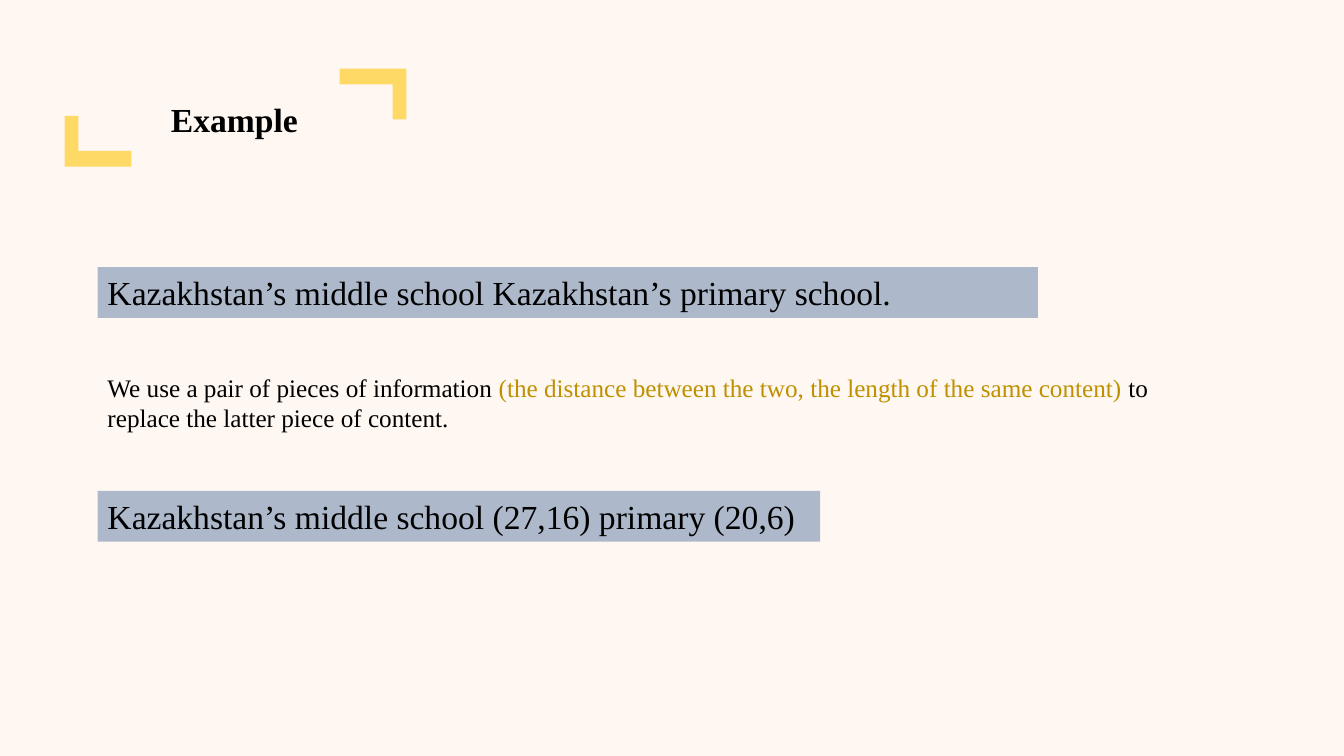
from pptx import Presentation
from pptx.dml.color import RGBColor
from pptx.enum.shapes import MSO_SHAPE as Shape
from pptx.enum.text import MSO_ANCHOR as Anchor, PP_ALIGN as Align
from pptx.util import Cm, Pt

CREAM = RGBColor(0xFE, 0xF7, 0xF2)
BLUE_GREY = RGBColor(0xAD, 0xB9, 0xCA)
YELLOW = RGBColor(0xFF, 0xD9, 0x66)
OCHRE = RGBColor(0xBF, 0x90, 0x00)
BLACK = RGBColor(0, 0, 0)

LEFT = 2.46
LINE_HEIGHT = 1.28


class SlideBuilder:
    """Draws on one slide in one style; all lengths are in centimetres."""

    font = "Times New Roman"

    def __init__(self, slide):
        self.slide = slide
        slide.background.fill.solid()
        slide.background.fill.fore_color.rgb = CREAM

    def add_runs(self, shape, runs, size, bold=False, wrap=True):
        """Fill a shape with one paragraph of (text, colour) runs."""
        frame = shape.text_frame
        frame.word_wrap = wrap
        frame.vertical_anchor = Anchor.TOP
        paragraph = frame.paragraphs[0]
        paragraph.alignment = Align.LEFT
        for text, colour in runs:
            run = paragraph.add_run()
            run.text = text
            run.font.name = self.font
            run.font.size = Pt(size)
            run.font.bold = bold
            run.font.color.rgb = colour

    def text(self, left, top, width, height, runs, size, **style):
        box = self.slide.shapes.add_textbox(Cm(left), Cm(top), Cm(width), Cm(height))
        self.add_runs(box, runs, size, **style)

    def shape(self, kind, left, top, width, height, colour):
        shape = self.slide.shapes.add_shape(
            kind, Cm(left), Cm(top), Cm(width), Cm(height))
        shape.shadow.inherit = False
        shape.fill.solid()
        shape.fill.fore_color.rgb = colour
        shape.line.fill.background()
        return shape

    def sentence_bar(self, top, width, sentence):
        bar = self.shape(Shape.RECTANGLE, LEFT, top, width, LINE_HEIGHT, BLUE_GREY)
        self.add_runs(bar, [(sentence, BLACK)], 24)

    def title_corner(self, left, top, rotation):
        corner = self.shape(Shape.CORNER, left, top, 1.68, LINE_HEIGHT, YELLOW)
        corner.adjustments[0] = 0.31
        corner.adjustments[1] = 0.27
        corner.rotation = rotation


def main():
    presentation = Presentation()
    presentation.slide_width = Cm(33.87)
    presentation.slide_height = Cm(19.05)
    blank = presentation.slide_layouts[6]
    builder = SlideBuilder(presentation.slides.add_slide(blank))

    builder.text(4.06, 2.36, 3.73, LINE_HEIGHT, [("Example", BLACK)], 24,
                 bold=True, wrap=False)
    builder.title_corner(1.63, 2.92, 0)
    builder.title_corner(8.56, 1.73, 180)

    builder.sentence_bar(
        6.73, 23.7, "Kazakhstan’s middle school Kazakhstan’s primary school.")
    explanation = [
        ("We use a pair of pieces of information ", BLACK),
        ("(the distance between the two, the length of the same content) ", OCHRE),
        ("to replace the latter piece of content.", BLACK),
    ]
    builder.text(LEFT, 9.25, 26.92, 1.8, explanation, 18)
    builder.sentence_bar(
        12.37, 18.21, "Kazakhstan’s middle school (27,16) primary (20,6)")

    presentation.save("out.pptx")


if __name__ == "__main__":
    main()
